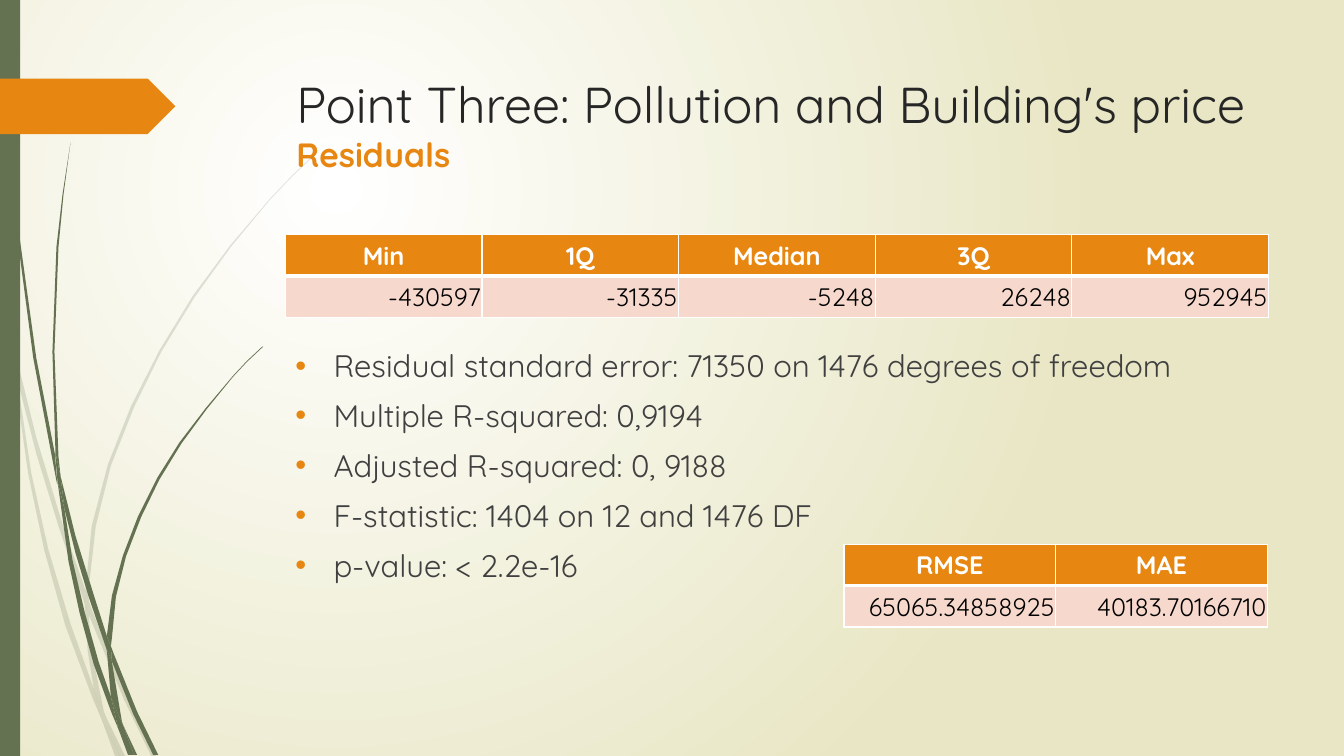
from dataclasses import dataclass

from lxml import etree
from pptx import Presentation
from pptx.dml.color import RGBColor
from pptx.enum.shapes import MSO_SHAPE
from pptx.enum.text import MSO_ANCHOR, MSO_AUTO_SIZE, PP_ALIGN
from pptx.oxml import parse_xml
from pptx.oxml.ns import nsdecls, qn
from pptx.util import Inches, Pt

RECTANGLE, PENTAGON = MSO_SHAPE.RECTANGLE, MSO_SHAPE.PENTAGON
TOP, MIDDLE = MSO_ANCHOR.TOP, MSO_ANCHOR.MIDDLE
LEFT, CENTER, RIGHT = PP_ALIGN.LEFT, PP_ALIGN.CENTER, PP_ALIGN.RIGHT
NO_AUTOFIT = MSO_AUTO_SIZE.NONE


@dataclass(frozen=True)
class Theme:
    font: str = "Quicksand"
    green: str = "647252"
    orange: str = "E78712"
    pink: str = "F6D9CC"
    cream: str = "E8E6C4"
    white: str = "FFFFFF"
    black: str = "000000"
    title: str = "262626"
    body: str = "404040"
    title_size: float = 36
    subtitle_size: float = 24
    body_size: float = 22.2
    table_size: float = 18


# Each blade of grass is an outline of (x, y) points in inches.
PALE_BLADES = [
    [(.11, 3.5), (.09, 3.22), (0, 2.82), (0, 2.99), (.1, 3.44)],
    [(.58, 5.22), (.84, 5.99), (.85, 5.86), (.62, 5.2), (.36, 4.34), (.14, 3.45),
     (.17, 3.76), (.36, 4.5)],
    [(.92, 6.07), (.88, 5.96), (.88, 6.1), (1.23, 6.94), (1.5, 7.5), (1.55, 7.5), (1.27, 6.92)],
    [(1.19, 7.5), (1.24, 7.5), (1.05, 7.11)],
    [(.93, 6.83), (.7, 6.19), (.48, 5.45), (.31, 4.69), (.17, 3.76), (.11, 3.5),
     (.28, 4.7), (.44, 5.46), (.65, 6.21), (.92, 6.93), (1.01, 7.14), (.99, 7.07)],
    [(.84, 5.99), (.87, 6.46), (.93, 6.83), (.96, 6.92), (1.05, 7.11), (1.03, 7.06),
     (.91, 6.46), (.88, 6.1), (.88, 6.08)],
    [(.88, 5.84), (.95, 5.22), (1.1, 4.62), (1.33, 4.04), (1.6, 3.49), (1.93, 2.95),
     (2.29, 2.45), (2.68, 1.98), (2.9, 1.75), (3.12, 1.54), (3.12, 1.53), (2.89, 1.75),
     (2.68, 1.97), (2.28, 2.44), (1.91, 2.94), (1.58, 3.48), (1.3, 4.03), (1.07, 4.61),
     (.91, 5.22), (.85, 5.84), (.85, 5.86), (.88, 5.96)],
    [(1.01, 7.14), (1.14, 7.5), (1.19, 7.5)],
    [(.88, 6.08), (.88, 6.1), (.88, 5.96), (.85, 5.86), (.84, 5.99)],
    [(.96, 6.92), (.93, 6.83), (.99, 7.07), (1.01, 7.14), (1.19, 7.5), (1.05, 7.11)],
]
DARK_BLADES = [
    [(.07, 1.1), (.17, 2.33), (.33, 3.55), (.56, 4.77), (.57, 4.81), (.55, 4.57), (.55, 4.53),
     (.36, 3.55), (.19, 2.32), (.08, 1.09), (.05, .48), (.04, 0), (.03, 0), (.04, .48)],
    [(.88, 5.92), (1.06, 6.45), (1.06, 6.31), (.93, 5.9), (.75, 5.32), (.6, 4.72),
     (.64, 5.05), (.75, 5.49)],
    [(1.13, 6.49), (1.1, 6.41), (1.11, 6.56), (1.32, 7.08), (1.52, 7.49), (1.57, 7.49),
     (1.36, 7.06)],
    [(1.1, 6.91), (.98, 6.57), (.84, 6.07), (.72, 5.56), (.64, 5.05), (.57, 4.77),
     (.68, 5.57), (.79, 6.08), (.93, 6.59), (1.11, 7.08), (1.17, 7.22), (1.16, 7.17)],
    [(.6, 4.72), (.58, 4.53), (.54, 3.49), (.58, 2.45), (.63, 1.93), (.7, 1.41),
     (.62, 1.93), (.56, 2.45), (.52, 3.49), (.55, 4.49)],
    [(1.33, 7.49), (1.36, 7.49), (1.22, 7.19)],
    [(.57, 4.77), (.64, 5.05), (.6, 4.72), (.55, 4.49), (.55, 4.53)],
    [(1.11, 6.33), (1.15, 5.92), (1.25, 5.52), (1.4, 5.13), (1.58, 4.76), (1.8, 4.4),
     (2.05, 4.06), (2.31, 3.74), (2.45, 3.59), (2.61, 3.44), (2.6, 3.44), (2.45, 3.58),
     (2.31, 3.73), (2.04, 4.05), (1.78, 4.39), (1.56, 4.74), (1.37, 5.12), (1.22, 5.51),
     (1.11, 5.91), (1.06, 6.31), (1.1, 6.41)],
    [(1.17, 7.22), (1.27, 7.49), (1.31, 7.49)],
    [(1.06, 6.45), (1.1, 6.91), (1.16, 7.06), (1.22, 7.19), (1.21, 7.16), (1.11, 6.56),
     (1.09, 6.51)],
    [(1.06, 6.45), (1.09, 6.51), (1.11, 6.56), (1.1, 6.41), (1.06, 6.31)],
    [(1.16, 7.06), (1.1, 6.91), (1.16, 7.17), (1.17, 7.22), (1.3, 7.49), (1.33, 7.49),
     (1.22, 7.19)],
]
RESIDUALS = [("Min", "1Q", "Median", "3Q", "Max"),
             ("-430597", "-31335", "-5248", "26248", "952945")]
ERRORS = [("RMSE", "MAE"), ("65065.34858925", "40183.70166710")]
MODEL_FIT = [
    "Residual standard error: 71350 on 1476 degrees of freedom",
    "Multiple R-squared: 0,9194",
    "Adjusted R-squared: 0, 9188",
    "F-statistic: 1404 on 12 and 1476 DF",
    "p-value: < 2.2e-16",
]


class SlideBuilder:
    def __init__(self, slide, theme):
        self.slide = slide
        self.theme = theme

    def style_font(self, font, size, color, bold=False):
        font.name = self.theme.font
        font.size = Pt(size)
        font.bold = bold
        font.color.rgb = RGBColor.from_string(color)

    def background(self):
        """Fill with a circular gradient centred in the upper left quarter."""
        self.slide.background.fill.solid()
        properties = self.slide.element.find(".//" + qn("p:bgPr"))
        gradient = parse_xml(
            f'<a:gradFill {nsdecls("a")} rotWithShape="1"><a:gsLst>'
            f'<a:gs pos="0"><a:srgbClr val="{self.theme.white}"/></a:gs>'
            f'<a:gs pos="100000"><a:srgbClr val="{self.theme.cream}"/></a:gs></a:gsLst>'
            '<a:path path="circle"><a:fillToRect l="50000" t="50000" r="100000" b="100000"/>'
            '</a:path></a:gradFill>')
        properties.replace(properties.find(qn("a:solidFill")), gradient)

    def paint(self, shape, color, opacity=100):
        shape.shadow.inherit = False
        shape.fill.solid()
        shape.fill.fore_color.rgb = RGBColor.from_string(color)
        shape.line.fill.background()
        if opacity < 100:
            color_element = shape.fill._xPr.find(".//" + qn("a:srgbClr"))
            etree.SubElement(color_element, qn("a:alpha"), val=str(opacity * 1000))

    def grass(self, blades, opacity=100):
        group = self.slide.shapes.add_group_shape()
        for blade in blades:
            points = [(Inches(x), Inches(y)) for x, y in blade]
            builder = group.shapes.build_freeform(*points[0])
            builder.add_line_segments(points[1:], close=True)
            self.paint(builder.convert_to_shape(), self.theme.green, opacity)

    def shape(self, kind, left, top, width, height, color):
        shape = self.slide.shapes.add_shape(
            kind, Inches(left), Inches(top), Inches(width), Inches(height))
        self.paint(shape, color)
        return shape

    def title(self, text, subtitle, left, top, width, height):
        title = self.slide.shapes.title
        title.left, title.top = Inches(left), Inches(top)
        title.width, title.height = Inches(width), Inches(height)
        frame = title.text_frame
        frame.word_wrap, frame.auto_size, frame.vertical_anchor = True, NO_AUTOFIT, TOP
        paragraph = frame.paragraphs[0]
        paragraph.alignment = LEFT
        heading = paragraph.add_run()
        heading.text = text
        self.style_font(heading.font, self.theme.title_size, self.theme.title)
        paragraph.add_line_break()
        detail = paragraph.add_run()
        detail.text = subtitle
        self.style_font(detail.font, self.theme.subtitle_size, self.theme.orange, True)

    def bullets(self, items, left, top, width, height):
        box = self.slide.shapes.add_textbox(
            Inches(left), Inches(top), Inches(width), Inches(height))
        frame = box.text_frame
        frame.word_wrap = True
        for index, item in enumerate(items):
            paragraph = frame.add_paragraph() if index else frame.paragraphs[0]
            paragraph.text = item
            properties = paragraph._p.get_or_add_pPr()
            properties.set("marL", str(Inches(.38)))
            properties.set("indent", str(Inches(-.38)))
            if index:
                paragraph.space_before = Pt(9)
            bullet_color = etree.SubElement(properties, qn("a:buClr"))
            etree.SubElement(bullet_color, qn("a:srgbClr"), val=self.theme.orange)
            etree.SubElement(properties, qn("a:buFont"), typeface="Arial")
            etree.SubElement(properties, qn("a:buChar"), char="•")
            self.style_font(paragraph.font, self.theme.body_size, self.theme.body)

    def cell_borders(self, cell, is_header):
        """Draw thin white borders, with a thick one below the header."""
        widths = {"L": 1, "R": 1, "T": 1 if is_header else 3, "B": 3 if is_header else 1}
        properties = cell._tc.get_or_add_tcPr()
        for side, width in widths.items():
            properties.append(parse_xml(
                f'<a:ln{side} {nsdecls("a")} w="{Pt(width)}"><a:solidFill>'
                f'<a:srgbClr val="{self.theme.white}"/></a:solidFill></a:ln{side}>'))

    def table(self, rows, left, top, column_width, row_height=.41):
        columns = len(rows[0])
        table = self.slide.shapes.add_table(
            len(rows), columns, Inches(left), Inches(top),
            Inches(column_width * columns), Inches(row_height * len(rows))).table
        table.horz_banding = False
        for row_index, row in enumerate(rows):
            is_header = row_index == 0
            for column_index, text in enumerate(row):
                cell = table.cell(row_index, column_index)
                cell.text = text
                cell.vertical_anchor = MIDDLE
                cell.margin_left = cell.margin_right = cell.margin_top = Inches(.01)
                cell.margin_bottom = 0
                self.cell_borders(cell, is_header)
                cell.fill.solid()
                cell.fill.fore_color.rgb = RGBColor.from_string(
                    self.theme.orange if is_header else self.theme.pink)
                paragraph = cell.text_frame.paragraphs[0]
                paragraph.alignment = CENTER if is_header else RIGHT
                self.style_font(paragraph.font, self.theme.table_size,
                                self.theme.white if is_header else self.theme.black, is_header)


def main():
    presentation = Presentation()
    presentation.slide_width, presentation.slide_height = Inches(13.33), Inches(7.5)
    theme = Theme()
    builder = SlideBuilder(presentation.slides.add_slide(presentation.slide_layouts[5]), theme)
    builder.background()
    builder.grass(PALE_BLADES, opacity=20)
    builder.grass(DARK_BLADES)
    builder.shape(RECTANGLE, 0, 0, .2, 7.5, theme.green)
    builder.shape(PENTAGON, 0, .78, 1.74, .55, theme.orange)
    builder.title("Point Three: Pollution and Building's price", "Residuals", 2.84, .68, 9.75, 1.4)
    builder.table(RESIDUALS, 2.83, 2.33, 1.95)
    builder.bullets(MODEL_FIT, 2.83, 3.39, 9.75, 2.41)
    builder.table(ERRORS, 8.37, 5.4, 2.1)
    presentation.save("out.pptx")


if __name__ == "__main__":
    main()
